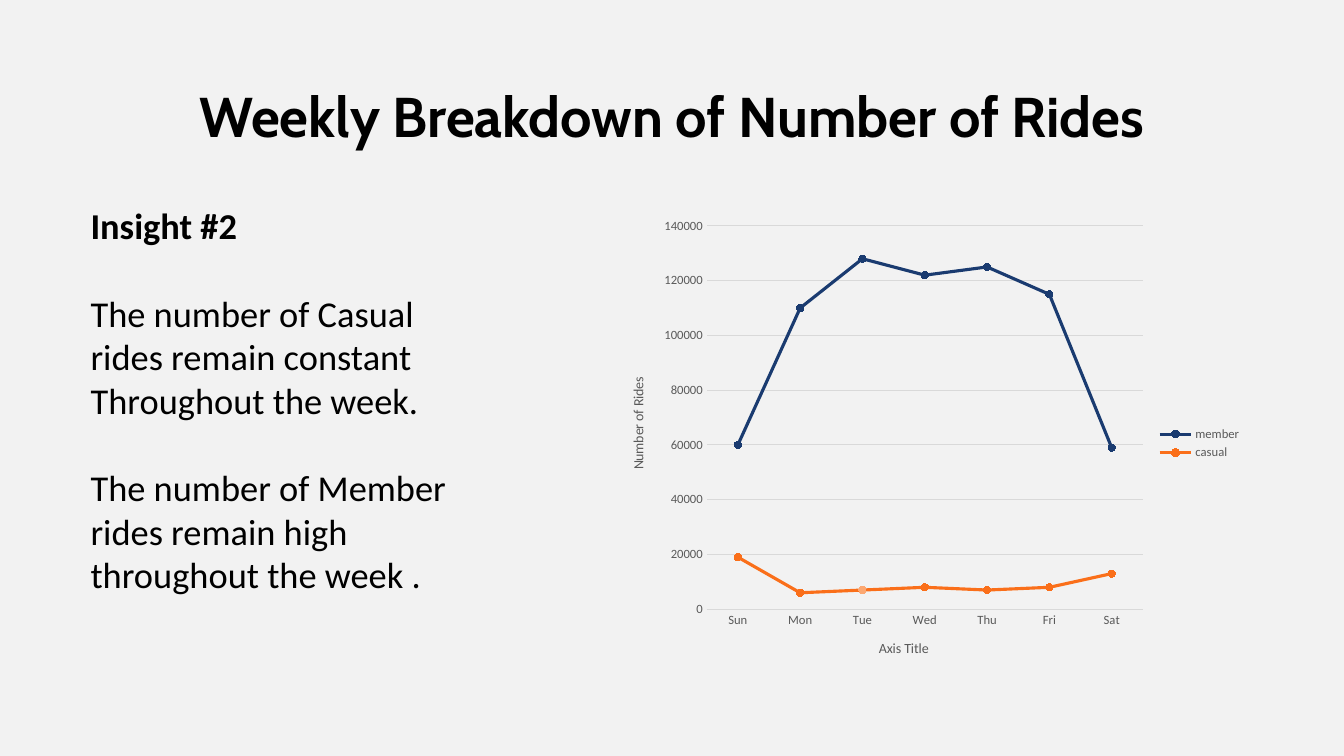
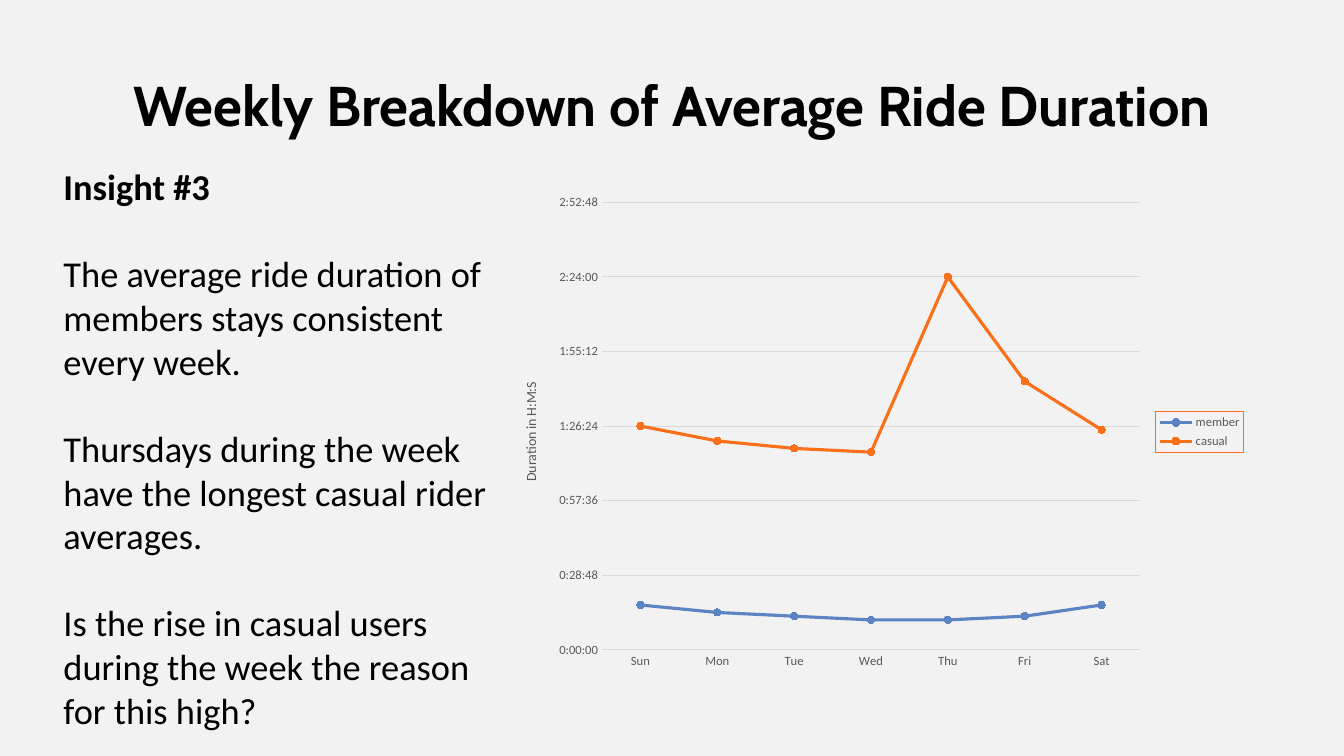
import pptx
import pptx.chart.data
import pptx.dml.color
import pptx.enum.chart
import pptx.enum.text
import pptx.oxml
import pptx.oxml.ns
import pptx.util
from lxml import etree

Pt = pptx.util.Pt
qn = pptx.oxml.ns.qn

DAYS = ["Sun", "Mon", "Tue", "Wed", "Thu", "Fri", "Sat"]
BLACK, GREY, RULE, PAPER = "000000", "595959", "D9D9D9", "F2F2F2"
NAVY, BLUE, ORANGE, PEACH = "1A3B70", "5C83C4", "FA6F1A", "FCA872"
BLANK_LINE = 31.1


def color(value):
    return pptx.dml.color.RGBColor.from_string(value)


def style_font(font, size, name="Calibri", bold=False, fill=BLACK):
    font.size, font.name, font.bold = Pt(size), name, bold
    font.color.rgb = color(fill)


def style_line(line, fill, width):
    line.color.rgb = color(fill)
    line.width = Pt(width)


def write(frame, text, first=True, before=0, align=None, spacing=None, **font):
    """Fill the first paragraph of a frame, or append a further one."""
    para = frame.paragraphs[0] if first else frame.add_paragraph()
    if before:
        para.space_before = Pt(before)
    if align is not None:
        para.alignment = align
    if spacing is not None:
        para.line_spacing = spacing
    span = para.add_run()
    span.text = text
    style_font(span.font, **font)


def place(element, index, frame, **points):
    """Fix a chart part at slide positions, given the chart's own frame."""
    left, top, width, height = frame
    shares = {"x": (left, width), "y": (top, height), "w": (0, width), "h": (0, height)}
    for old in element.findall(qn("c:layout")):
        element.remove(old)
    layout = pptx.oxml.parse_xml(f'<c:layout {pptx.oxml.ns.nsdecls("c")}/>')
    manual = etree.SubElement(layout, qn("c:manualLayout"))
    settings = {"xMode": "edge", "yMode": "edge"}
    if "w" in points:
        settings = {"layoutTarget": "inner", **settings}
    for key, value in points.items():
        start, extent = shares[key]
        settings[key] = f"{(value - start) / extent:.4f}"
    for key, value in settings.items():
        etree.SubElement(manual, qn(f"c:{key}")).set("val", value)
    element.insert(index, layout)


class RideDeck:
    def __init__(self):
        self.deck = pptx.Presentation()
        self.deck.slide_width, self.deck.slide_height = Pt(960), Pt(540)
        fill = self.deck.slide_master.background.fill
        fill.solid()
        fill.fore_color.rgb = color(PAPER)
        self.page = None

    def add_page(self, title, top):
        self.page = self.deck.slides.add_slide(self.deck.slide_layouts[5])
        box = self.page.shapes.title
        box.left, box.top, box.width, box.height = Pt(66), Pt(top), Pt(828), Pt(55.4)
        frame = box.text_frame
        frame.auto_size = pptx.enum.text.MSO_AUTO_SIZE.NONE
        frame.vertical_anchor = pptx.enum.text.MSO_ANCHOR.MIDDLE
        write(frame, title, align=pptx.enum.text.PP_ALIGN.CENTER, spacing=0.9,
              size=40, name="Cabin", bold=True)

    def add_insight(self, bounds, heading, groups):
        """Write a heading and groups of paragraphs, one line apart."""
        box = self.page.shapes.add_textbox(*map(Pt, bounds))
        frame = box.text_frame
        frame.word_wrap = True
        write(frame, heading, size=26, bold=True)
        for group in groups:
            for index, text in enumerate(group):
                write(frame, text, first=False, size=26,
                      before=0 if index else BLANK_LINE)

    def add_line_chart(self, bounds, plot, series, top_value, step, number_format):
        data = pptx.chart.data.CategoryChartData(number_format=number_format)
        data.categories = DAYS
        for name, _, values in series:
            data.add_series(name, values)
        chart = self.page.shapes.add_chart(
            pptx.enum.chart.XL_CHART_TYPE.LINE_MARKERS, *map(Pt, bounds), data).chart
        style_font(chart.font, 10)
        chart.has_title = False
        chart.has_legend = True
        chart.legend.position = pptx.enum.chart.XL_LEGEND_POSITION.RIGHT
        chart.legend.include_in_layout = False
        style_font(chart.legend.font, 9, fill=GREY)
        for axis in (chart.category_axis, chart.value_axis):
            axis.major_tick_mark = pptx.enum.chart.XL_TICK_MARK.NONE
            axis.minor_tick_mark = pptx.enum.chart.XL_TICK_MARK.NONE
            style_font(axis.tick_labels.font, 9, fill=GREY)
        style_line(chart.category_axis.format.line, RULE, 0.75)
        axis = chart.value_axis
        axis.minimum_scale, axis.maximum_scale, axis.major_unit = 0, top_value, step
        axis.format.line.fill.background()
        axis.has_major_gridlines = True
        style_line(axis.major_gridlines.format.line, RULE, 0.75)
        axis.tick_labels.number_format = number_format
        axis.tick_labels.number_format_is_linked = False
        chart.plots[0].vary_by_categories = False
        for line, (_, fill, _) in zip(chart.plots[0].series, series):
            line.smooth = False
            style_line(line.format.line, fill, 2.25)
            self.style_marker(line.marker, fill)
        place(chart.element.find(".//" + qn("c:plotArea")), 0, bounds,
              **dict(zip("xywh", plot)))
        return chart

    def style_marker(self, marker, fill):
        marker.style = pptx.enum.chart.XL_MARKER_STYLE.CIRCLE
        marker.size = 5
        marker.format.fill.solid()
        marker.format.fill.fore_color.rgb = color(fill)
        style_line(marker.format.line, fill, 0.75)

    def highlight_point(self, point, fill):
        self.style_marker(point.marker, fill)
        style_line(point.format.line, fill, 2.25)

    def title_axis(self, axis, text, bounds, x, y, upright=False):
        write(axis.axis_title.text_frame, text, size=10, fill=GREY)
        title = axis.axis_title.element
        turn = "-5400000" if upright else "0"
        title.find(".//" + qn("a:bodyPr")).set("rot", turn)
        place(title, 1, bounds, x=x, y=y)

    def outline_legend(self, chart, fill):
        outline = pptx.oxml.parse_xml(
            f'<c:spPr {pptx.oxml.ns.nsdecls("c", "a")}><a:ln w="9525"><a:solidFill>'
            f'<a:srgbClr val="{fill}"/></a:solidFill></a:ln></c:spPr>')
        chart.element.find(".//" + qn("c:legend")).find(qn("c:txPr")).addprevious(outline)


def main():
    rides = RideDeck()

    rides.add_page("Weekly Breakdown of Number of Rides", 57.6)
    rides.add_insight((57.6, 141.8, 298.8, 322.6), "Insight #2", [
        ["The number of Casual rides remain constant", "Throughout the week."],
        ["The number of Member rides remain high throughout the week ."],
    ])
    bounds = (434, 149, 460, 335.5)
    chart = rides.add_line_chart(bounds, (504.8, 161.4, 311.6, 273.8), [
        ("member", NAVY, [60000, 110000, 128000, 122000, 125000, 115000, 59000]),
        ("casual", ORANGE, [19000, 6000, 7000, 8000, 7000, 8000, 13000]),
    ], 140000, 20000, "General")
    rides.highlight_point(chart.plots[0].series[1].points[2], PEACH)
    rides.title_axis(chart.value_axis, "Number of Rides", bounds, 447.5, 267.5, upright=True)
    rides.title_axis(chart.category_axis, "Axis Title", bounds, 626, 455)

    rides.add_page("Weekly Breakdown of Average Ride Duration", 49.7)
    rides.add_insight((38.2, 113.8, 329.8, 420), "Insight #3", [
        ["The average ride duration of members stays consistent every week."],
        ["Thursdays during the week have the longest casual rider averages."],
        ["Is the rise in casual users during the week the reason for this high?"],
    ])
    bounds = (358.6, 132.5, 535.7, 352)
    chart = rides.add_line_chart(bounds, (430, 144.6, 384.3, 319.6), [
        ("member", BLUE, [0.012, 0.01, 0.009, 0.008, 0.008, 0.009, 0.012]),
        ("casual", ORANGE, [0.06, 0.056, 0.054, 0.053, 0.1, 0.072, 0.059]),
    ], 0.12, 0.02, "[h]:mm:ss;@")
    rides.outline_legend(chart, ORANGE)
    rides.title_axis(chart.value_axis, "Duration in H:M:S", bounds, 371, 271.3, upright=True)

    rides.deck.save("out.pptx")


if __name__ == "__main__":
    main()
